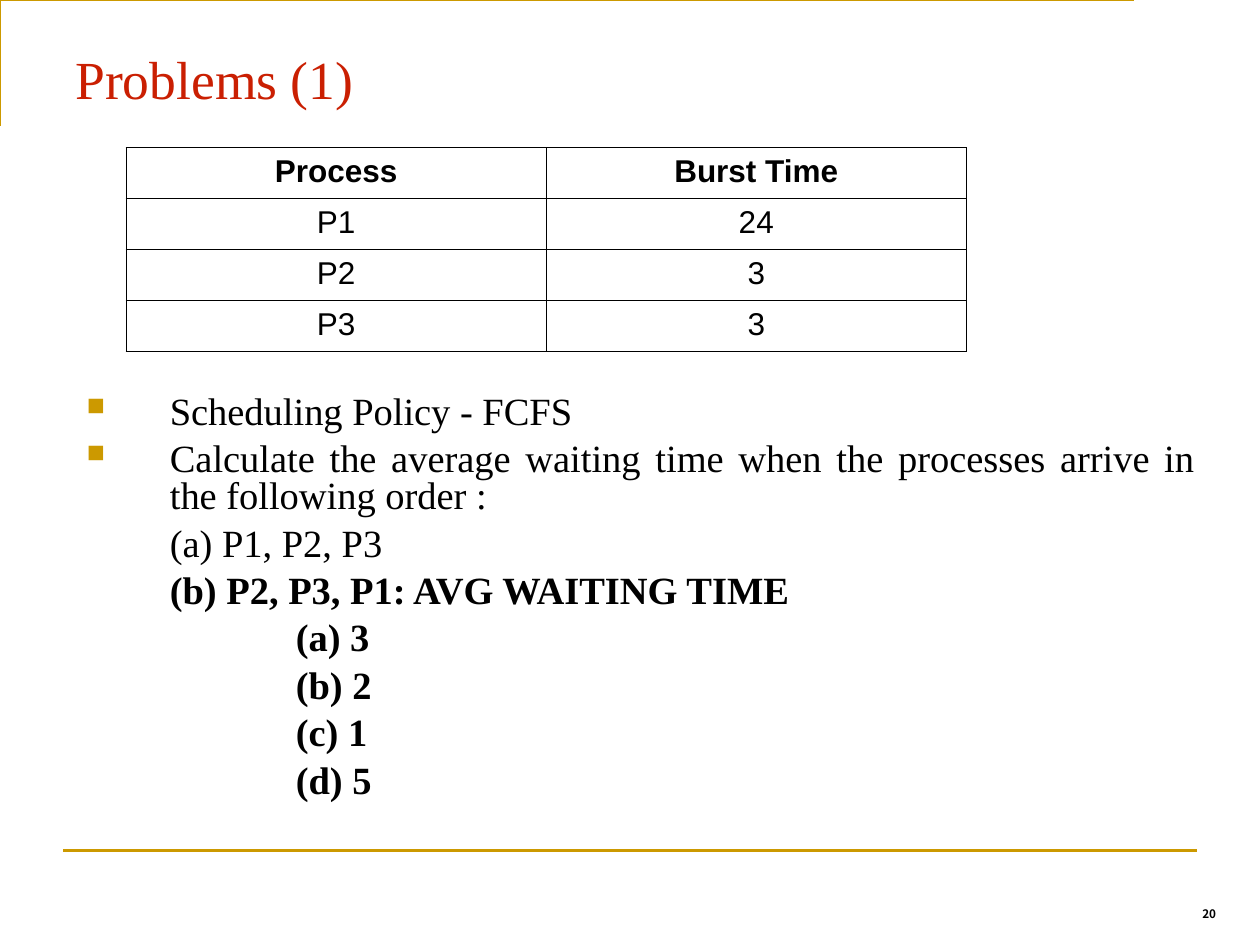
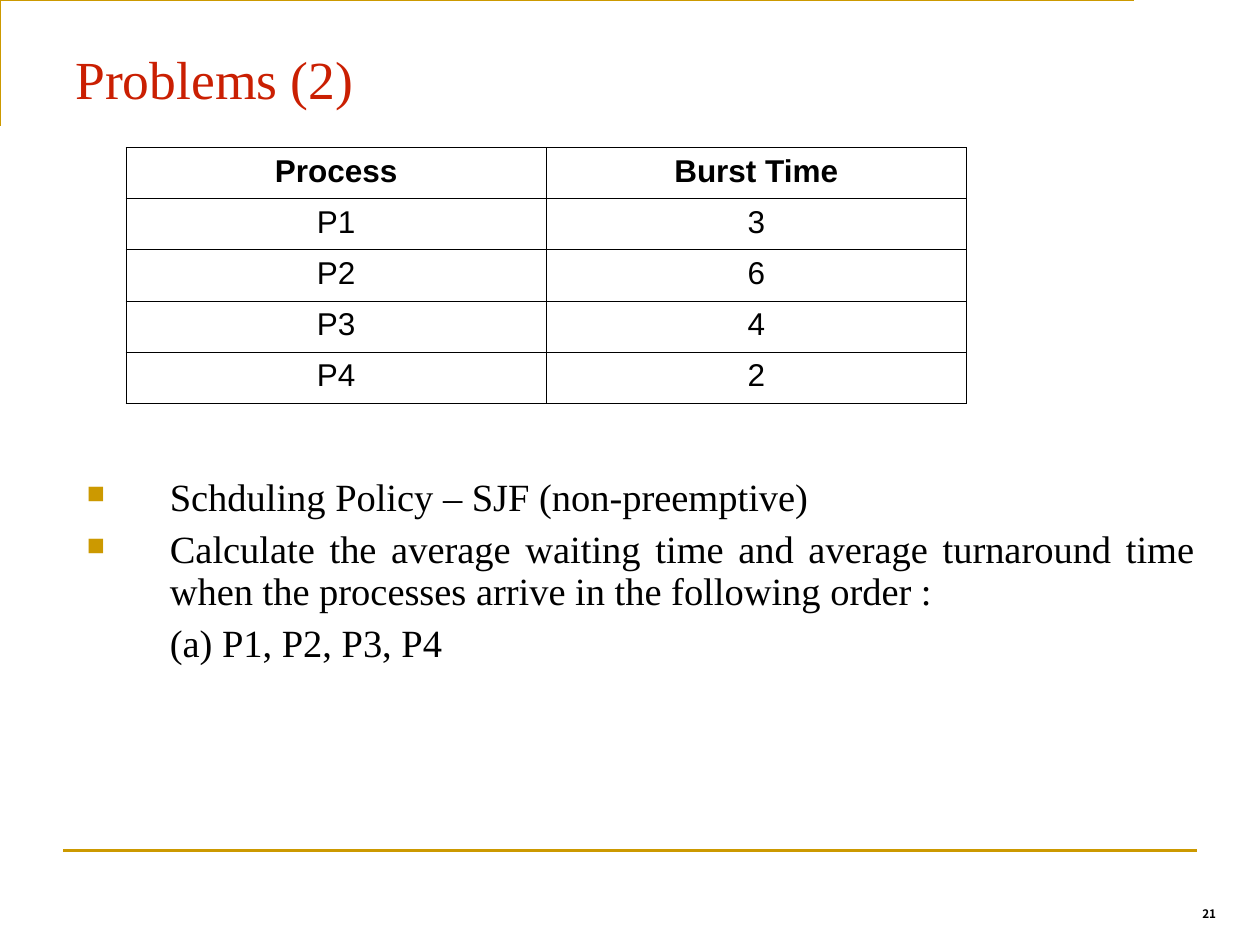
from lxml import etree
from pptx import Presentation
from pptx.dml.color import RGBColor
from pptx.enum.shapes import MSO_CONNECTOR as Link
from pptx.enum.text import MSO_ANCHOR as Anchor, PP_ALIGN as Align
from pptx.oxml import parse_xml
from pptx.oxml.ns import nsdecls, qn
from pptx.util import Inches, Pt

GOLD = RGBColor(0xCC, 0x99, 0x00)
RED = RGBColor(0xCA, 0x1F, 0x02)
BLACK = RGBColor(0, 0, 0)
WHITE = RGBColor(255, 255, 255)
SERIF, SANS, CJK = "Times New Roman", "Arial", "Noto Sans CJK KR"

# Left margin and first-line indent of each kind of body line
INDENT = {"bullet": (0.81, -0.66), "item": (0.81, 0), "choice": (1.81, 0)}

# Body lines: kind, bold, text
PAGES = [
    dict(title="Problems (1)", num="20", high=1.62, top=3.09, lead=0.8,
         bursts=[24, 3, 3],
         body=[("bullet", False, "Scheduling Policy - FCFS"),
               ("bullet", False, "Calculate the average waiting time when the "
                "processes arrive in the following order :"),
               ("item", False, "(a) P1, P2, P3"),
               ("item", True, "(b) P2, P3, P1: AVG WAITING TIME"),
               ("choice", True, "(a) 3"),
               ("choice", True, "(b) 2"),
               ("choice", True, "(c) 1"),
               ("choice", True, "(d) 5")]),
    dict(title="Problems (2)", num="21", high=2.03, top=3.75, lead=0.9,
         bursts=[3, 6, 4, 2],
         body=[("bullet", False, "Schduling Policy – SJF (non-preemptive)"),
               ("bullet", False, "Calculate the average waiting time and average "
                "turnaround time when the processes arrive in the following order :"),
               ("item", False, "(a) P1, P2, P3, P4")]),
]


def write(para, text, size, face, color=BLACK, bold=False, align=Align.LEFT, lead=1.0):
    para.text = text
    para.alignment = align
    para.line_spacing = lead
    font = para.runs[0].font
    font.size, font.name, font.bold = Pt(size), face, bold
    font.color.rgb = color


def add_box(slide, left, top, width, height):
    box = slide.shapes.add_textbox(Inches(left), Inches(top), Inches(width), Inches(height))
    box.text_frame.word_wrap = True
    return box.text_frame


deck = Presentation()
deck.slide_width, deck.slide_height = Inches(10), Inches(7.5)

for page in PAGES:
    slide = deck.slides.add_slide(deck.slide_layouts[6])
    shapes = slide.shapes

    # Gold corner above the title and rule below the body
    path = shapes.build_freeform(0.42, 0.92, scale=Inches(1))
    path.add_line_segments([(0.42, 0.25), (9.42, 0.25)], close=False)
    corner = path.convert_to_shape()
    corner.shadow.inherit = False
    corner.fill.background()
    rule = shapes.add_connector(Link.STRAIGHT, Inches(0.5), Inches(6.75),
                                Inches(9.5), Inches(6.75))
    etree.SubElement(rule._element.spPr, qn("a:effectLst"))
    for edge in (corner, rule):
        edge.line.color.rgb = GOLD
        edge.line.width = Pt(1.5)

    # Page number and title
    foot = add_box(slide, 7.67, 7.17, 2.08, 0.25)
    write(foot.paragraphs[0], page["num"], 6.7, CJK, bold=True, align=Align.RIGHT, lead=0.8)
    head = add_box(slide, 0.5, 0.3, 9, 0.63)
    head.vertical_anchor = Anchor.BOTTOM
    write(head.paragraphs[0], page["title"], 30.6, SERIF, RED, lead=0.9)

    # Burst times
    rows = [("Process", "Burst Time")]
    rows += [(f"P{i}", str(burst)) for i, burst in enumerate(page["bursts"], 1)]
    table = shapes.add_table(len(rows), 2, Inches(1), Inches(1.17),
                             Inches(6.67), Inches(page["high"])).table
    table.first_row = table.horz_banding = False
    for r, row in enumerate(rows):
        for c, text in enumerate(row):
            cell = table.cell(r, c)
            cell.fill.solid()
            cell.fill.fore_color.rgb = WHITE
            write(cell.text_frame.paragraphs[0], text, 18, SANS,
                  bold=r == 0, align=Align.CENTER)
            props = cell._tc.get_or_add_tcPr()
            for n, side in enumerate("LRTB"):
                props.insert(n, parse_xml(
                    f'<a:ln{side} {nsdecls("a")} w="{Pt(0.45)}"><a:solidFill>'
                    f'<a:srgbClr val="{BLACK}"/></a:solidFill></a:ln{side}>'))

    # Question
    frame = add_box(slide, 0.44, page["top"], 9.14, 6.58 - page["top"])
    for n, (kind, bold, text) in enumerate(page["body"]):
        para = frame.add_paragraph() if n else frame.paragraphs[0]
        props = para._p.get_or_add_pPr()
        left, first = INDENT[kind]
        props.set("marL", str(Inches(left)))
        props.set("indent", str(Inches(first)))
        if kind == "bullet":
            color = etree.SubElement(props, qn("a:buClr"))
            etree.SubElement(color, qn("a:srgbClr"), val=str(GOLD))
            etree.SubElement(props, qn("a:buSzPct"), val="65000")
            etree.SubElement(props, qn("a:buChar"), char="■")
        write(para, text, 22, SERIF, bold=bold, align=Align.JUSTIFY, lead=page["lead"])
        if n:
            para.space_before = Pt(6)

deck.save("out.pptx")
